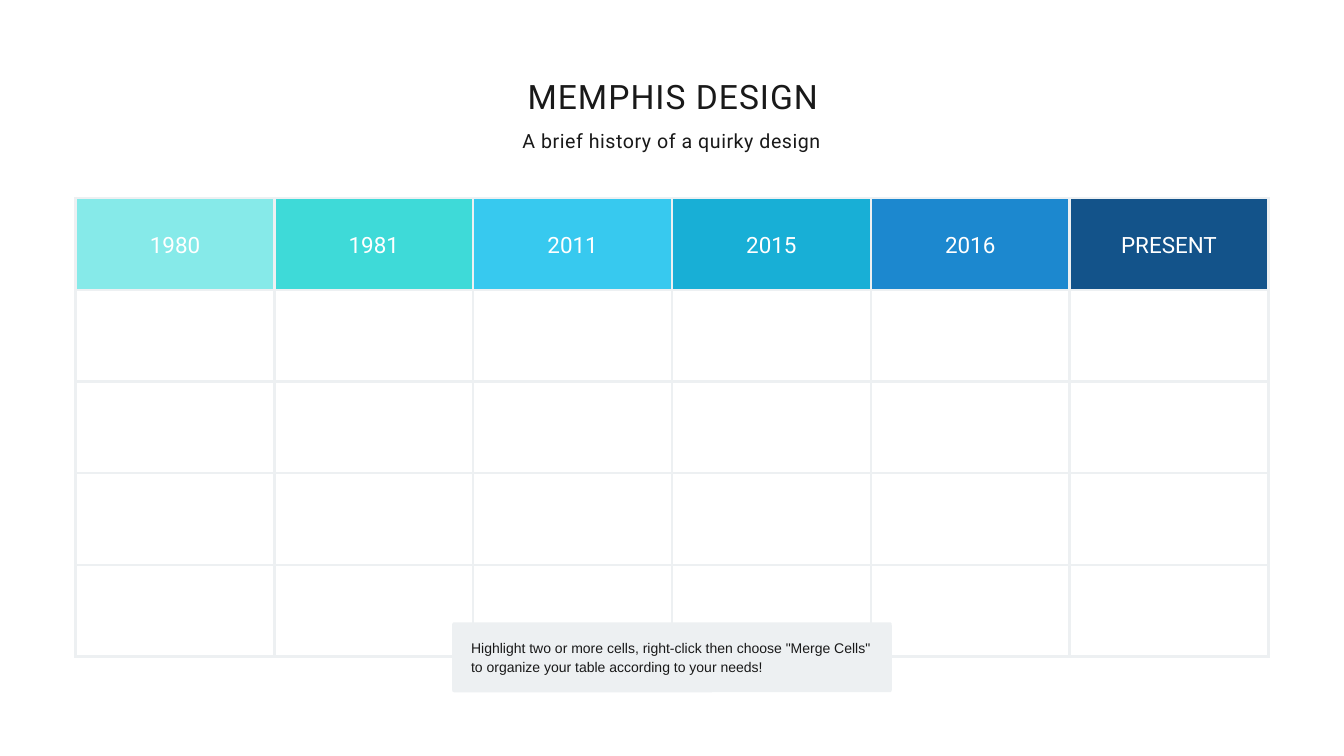
"""Build a timeline table slide with a title, a subtitle and a callout."""
import pptx
import pptx.dml.color
import pptx.enum.shapes
import pptx.enum.text
import pptx.oxml.ns
import pptx.util
from lxml import etree

PX = 9525
SLIDE_SIZE = (1920, 1080)
INK, WHITE, PALE = "191919", "FFFFFF", "EDF0F2"
CENTER = pptx.enum.text.PP_ALIGN.CENTER
LEFT = pptx.enum.text.PP_ALIGN.LEFT
MIDDLE = pptx.enum.text.MSO_ANCHOR.MIDDLE
TOP = pptx.enum.text.MSO_ANCHOR.TOP

HEADERS = [
    ("1980", "86EAE9"),
    ("1981", "3EDAD8"),
    ("2011", "37C9EF"),
    ("2015", "18AFD6"),
    ("2016", "1C88CF"),
    ("PRESENT", "13538A"),
]
ROW_COUNT = 5
TABLE_LEFT, TABLE_TOP = 108, 283
COLUMN_WIDTH, ROW_HEIGHT = 284, 131
CELL_MARGIN = 18
BORDER_POINTS = 3

CALLOUT_BOX = (646, 889, 628, 100)
CALLOUT_RADIUS = 3

TEXTS = [
    {
        "text": 'Highlight two or more cells, right-click then choose "Merge Cells" '
                "to organize your table according to your needs!",
        "box": (646, 885, 628, 104), "margin": 27, "anchor": MIDDLE,
        "style": {"font": "Arial", "size": 15, "leading": 21, "align": LEFT},
    },
    {
        "text": "MEMPHIS DESIGN",
        "box": (346, 108, 1231, 58), "margin": 0, "anchor": TOP,
        "style": {"font": "Roboto", "size": 36, "leading": 43.2, "spacing": 1.1},
    },
    {
        "text": "A brief history of a quirky design",
        "box": (344, 179, 1231, 37), "margin": 0, "anchor": TOP,
        "style": {"font": "Roboto", "size": 21, "leading": 29.4, "spacing": 0.6},
    },
]


def px(*lengths):
    return [pptx.util.Emu(length * PX) for length in lengths]


def rgb(color):
    return pptx.dml.color.RGBColor.from_string(color)


def set_fill(target, color):
    target.fill.solid()
    target.fill.fore_color.rgb = rgb(color)


def set_margins(target, margin):
    for side in ("left", "top", "right", "bottom"):
        setattr(target, f"margin_{side}", px(margin)[0])


def write(text_frame, text, font, size, leading, color=INK, align=CENTER, spacing=0):
    text_frame.text = text
    paragraph = text_frame.paragraphs[0]
    paragraph.alignment = align
    paragraph.line_spacing = pptx.util.Pt(leading)
    run = paragraph.runs[0]
    run.font.name = font
    run.font.size = pptx.util.Pt(size)
    run.font.color.rgb = rgb(color)
    if spacing:
        run.font._element.set("spc", str(round(spacing * 100)))


def add_borders(cell):
    properties = cell._tc.get_or_add_tcPr()
    qn = pptx.oxml.ns.qn
    for side in "LRTB":
        line = etree.SubElement(properties, qn(f"a:ln{side}"))
        line.set("w", str(pptx.util.Pt(BORDER_POINTS)))
        fill = etree.SubElement(line, qn("a:solidFill"))
        etree.SubElement(fill, qn("a:srgbClr")).set("val", PALE)


def add_timeline(slide):
    size = COLUMN_WIDTH * len(HEADERS), ROW_HEIGHT * ROW_COUNT
    table = slide.shapes.add_table(
        ROW_COUNT, len(HEADERS), *px(TABLE_LEFT, TABLE_TOP, *size)
    ).table
    for cell in table.iter_cells():
        add_borders(cell)
        set_fill(cell, WHITE)
        set_margins(cell, CELL_MARGIN)
        cell.vertical_anchor = MIDDLE
    for column, (label, color) in enumerate(HEADERS):
        cell = table.cell(0, column)
        set_fill(cell, color)
        write(cell.text_frame, label, "Roboto", 24, 31.2, WHITE)


def add_callout(slide):
    shape = slide.shapes.add_shape(
        pptx.enum.shapes.MSO_SHAPE.ROUNDED_RECTANGLE, *px(*CALLOUT_BOX)
    )
    shape.adjustments[0] = CALLOUT_RADIUS / CALLOUT_BOX[3]
    shape.shadow.inherit = False
    shape.line.fill.background()
    set_fill(shape, PALE)


def add_text(slide, text, box, margin, anchor, style):
    text_frame = slide.shapes.add_textbox(*px(*box)).text_frame
    text_frame.word_wrap = True
    text_frame.vertical_anchor = anchor
    set_margins(text_frame, margin)
    write(text_frame, text, **style)


def main():
    presentation = pptx.Presentation()
    presentation.slide_width, presentation.slide_height = px(*SLIDE_SIZE)
    slide = presentation.slides.add_slide(presentation.slide_layouts[6])
    add_timeline(slide)
    add_callout(slide)
    for entry in TEXTS:
        add_text(slide, **entry)
    presentation.save("out.pptx")


if __name__ == "__main__":
    main()
